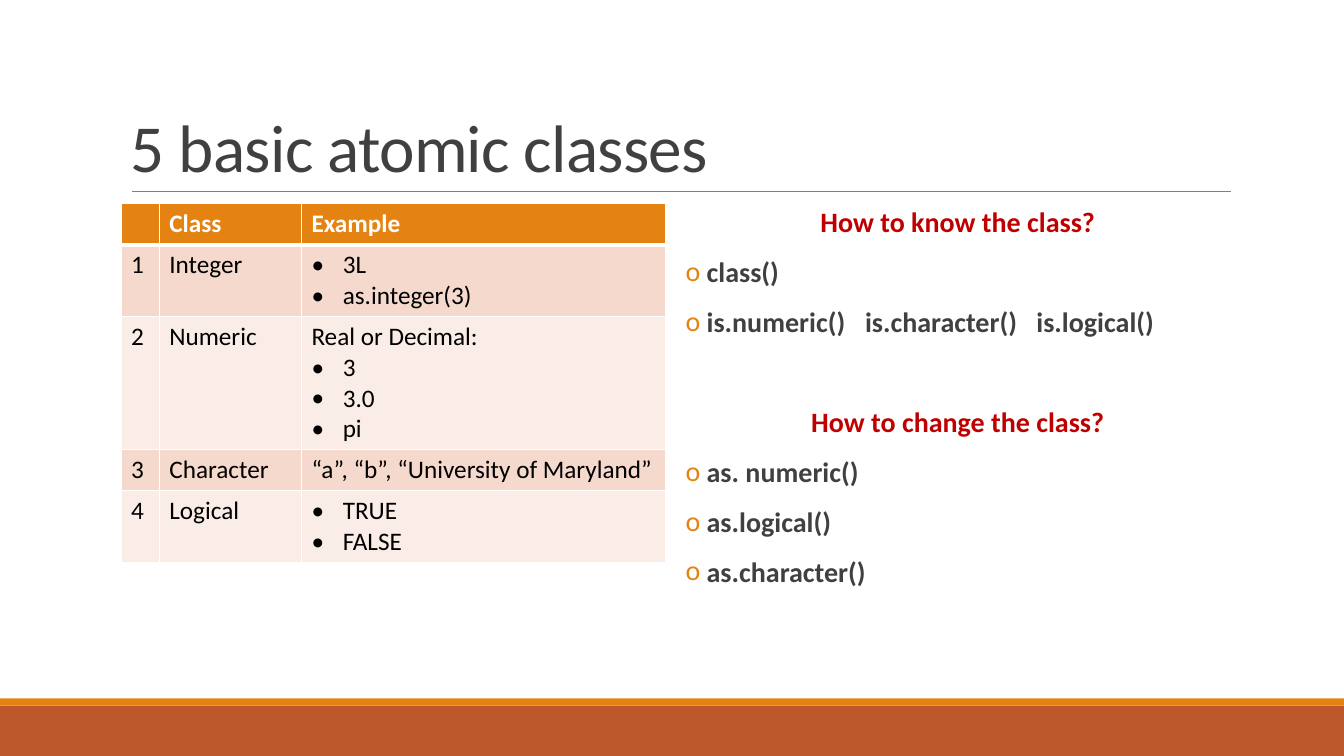
from lxml.etree import SubElement
from pptx import Presentation
from pptx.dml.color import RGBColor
from pptx.enum.shapes import MSO_CONNECTOR, MSO_SHAPE
from pptx.enum.text import MSO_ANCHOR, PP_ALIGN
from pptx.oxml.ns import qn
from pptx.util import Inches, Pt

COLORS = {
    "white": "FFFFFF", "black": "000000", "text": "404040", "rule": "808080",
    "orange": "E48312", "rust": "BD582C", "red": "C00000",
    "band_dark": "F5D9CC", "band_light": "FAEDE7",
}
FONT = "Calibri"
COLUMN_WIDTHS = [0.38, 1.41, 3.61]
ROW_HEIGHTS = [0.41, 0.71, 1.32, 0.41, 0.71]
CLASS_ROWS = [
    ("", "Class", ["Example"]),
    ("1", "Integer", ["• 3L", "• as.integer(3)"]),
    ("2", "Numeric", ["Real or Decimal:", "• 3", "• 3.0", "• pi"]),
    ("3", "Character", ["“a”, “b”, “University of Maryland”"]),
    ("4", "Logical", ["• TRUE", "• FALSE"]),
]
QUESTIONS = [
    ("How to know the class?",
     ["class()", "is.numeric()\tis.character()\tis.logical()"]),
    ("How to change the class?",
     ["as. numeric()", "as.logical()", "as.character()"]),
]
FUNCTION_TABS = [1.78, 3.48]


def rgb(name):
    return RGBColor.from_string(COLORS[name])


def style_runs(p, size, color, bold=False):
    for r in p.runs:
        r.font.name = FONT
        r.font.size = Pt(size)
        r.font.bold = bold
        r.font.color.rgb = rgb(color)


def add_bullet(p, char, indent, color):
    pPr = p._p.get_or_add_pPr()
    pPr.set("marL", str(Inches(indent)))
    pPr.set("indent", str(-Inches(indent)))
    clr = SubElement(pPr, qn("a:buClr"))
    SubElement(clr, qn("a:srgbClr"), val=COLORS[color])
    SubElement(pPr, qn("a:buFont"), typeface=FONT)
    SubElement(pPr, qn("a:buChar"), char=char)


def add_tabs(p, stops):
    tabs = SubElement(p._p.get_or_add_pPr(), qn("a:tabLst"))
    for stop in stops:
        SubElement(tabs, qn("a:tab"), pos=str(Inches(stop)), algn="l")


def add_borders(cell, bottom):
    tcPr = cell._tc.get_or_add_tcPr()
    for side, width in (("L", 1), ("R", 1), ("T", 1), ("B", bottom)):
        ln = SubElement(tcPr, qn("a:ln" + side), w=str(Pt(width)))
        fill = SubElement(ln, qn("a:solidFill"))
        SubElement(fill, qn("a:srgbClr"), val=COLORS["white"])


def add_band(s, left, top, width, height, color):
    sp = s.shapes.add_shape(MSO_SHAPE.RECTANGLE, Inches(left), Inches(top),
                            Inches(width), Inches(height))
    sp.shadow.inherit = False
    sp.fill.solid()
    sp.fill.fore_color.rgb = rgb(color)
    sp.line.fill.background()


def add_footer(s, left, top, width, height):
    stripe = 0.07
    add_band(s, left, top + stripe, width, height - stripe, "rust")
    add_band(s, left, top, width, stripe, "orange")


def add_text_box(s, left, top, width, height):
    tf = s.shapes.add_textbox(Inches(left), Inches(top),
                              Inches(width), Inches(height)).text_frame
    tf.word_wrap = True
    return tf


def add_title(s, left, top, width, height):
    y = Inches(top + height)
    rule = s.shapes.add_connector(MSO_CONNECTOR.STRAIGHT, Inches(left + 0.11), y,
                                  Inches(left + width + 0.01), y)
    rule.line.color.rgb = rgb("rule")
    rule.line.width = Pt(0.5)
    SubElement(rule._element.spPr, qn("a:effectLst"))
    tf = add_text_box(s, left, top, width, height)
    tf.vertical_anchor = MSO_ANCHOR.BOTTOM
    p = tf.paragraphs[0]
    p.text = "5 basic atomic classes"
    p.line_spacing = 0.85
    style_runs(p, 48, "text")
    p.runs[0].font._element.set("spc", "-50")


def add_class_table(s, left, top, width, height):
    table = s.shapes.add_table(len(CLASS_ROWS), len(COLUMN_WIDTHS), Inches(left),
                               Inches(top), Inches(width), Inches(height)).table
    for column, column_width in zip(table.columns, COLUMN_WIDTHS):
        column.width = Inches(column_width)
    for i, (number, name, examples) in enumerate(CLASS_ROWS):
        table.rows[i].height = Inches(ROW_HEIGHTS[i])
        header = i == 0
        fill = "orange" if header else ("band_dark" if i % 2 else "band_light")
        color = "white" if header else "black"
        for j, lines in enumerate(([number], [name], examples)):
            cell = table.cell(i, j)
            add_borders(cell, 3 if header else 1)
            cell.fill.solid()
            cell.fill.fore_color.rgb = rgb(fill)
            cell.text_frame.text = "\n".join(x.removeprefix("• ") for x in lines)
            for p, line in zip(cell.text_frame.paragraphs, lines):
                if line.startswith("•"):
                    add_bullet(p, "•", 0.31, color)
                style_runs(p, 18, color, header)


def add_questions(s, left, top, width, height):
    tf = add_text_box(s, left, top, width, height)
    tf.margin_left = tf.margin_right = 0
    for i, (question, functions) in enumerate(QUESTIONS):
        p = tf.add_paragraph() if i else tf.paragraphs[0]
        p.text = question
        p.alignment = PP_ALIGN.CENTER
        p.space_before = Pt(48 if i else 0)
        style_runs(p, 20, "red", True)
        for function in functions:
            p = tf.add_paragraph()
            p.text = " " + function
            add_bullet(p, "o", 0.1, "orange")
            if "\t" in function:
                add_tabs(p, FUNCTION_TABS)
            p.space_before = Pt(12)
            style_runs(p, 20, "text", True)
    for p in tf.paragraphs:
        p.line_spacing = 0.9
        p.space_after = Pt(2)


def main():
    prs = Presentation()
    prs.slide_width, prs.slide_height = Inches(13.33), Inches(7.5)
    s = prs.slides.add_slide(prs.slide_layouts[6])
    add_footer(s, 0, 6.93, 13.33, 0.57)
    add_title(s, 1.2, 0.31, 11, 1.59)
    add_class_table(s, 1.2, 2.02, sum(COLUMN_WIDTHS), sum(ROW_HEIGHTS))
    add_questions(s, 6.8, 2.02, 5.4, 4.4)
    prs.save("out.pptx")


if __name__ == "__main__":
    main()
